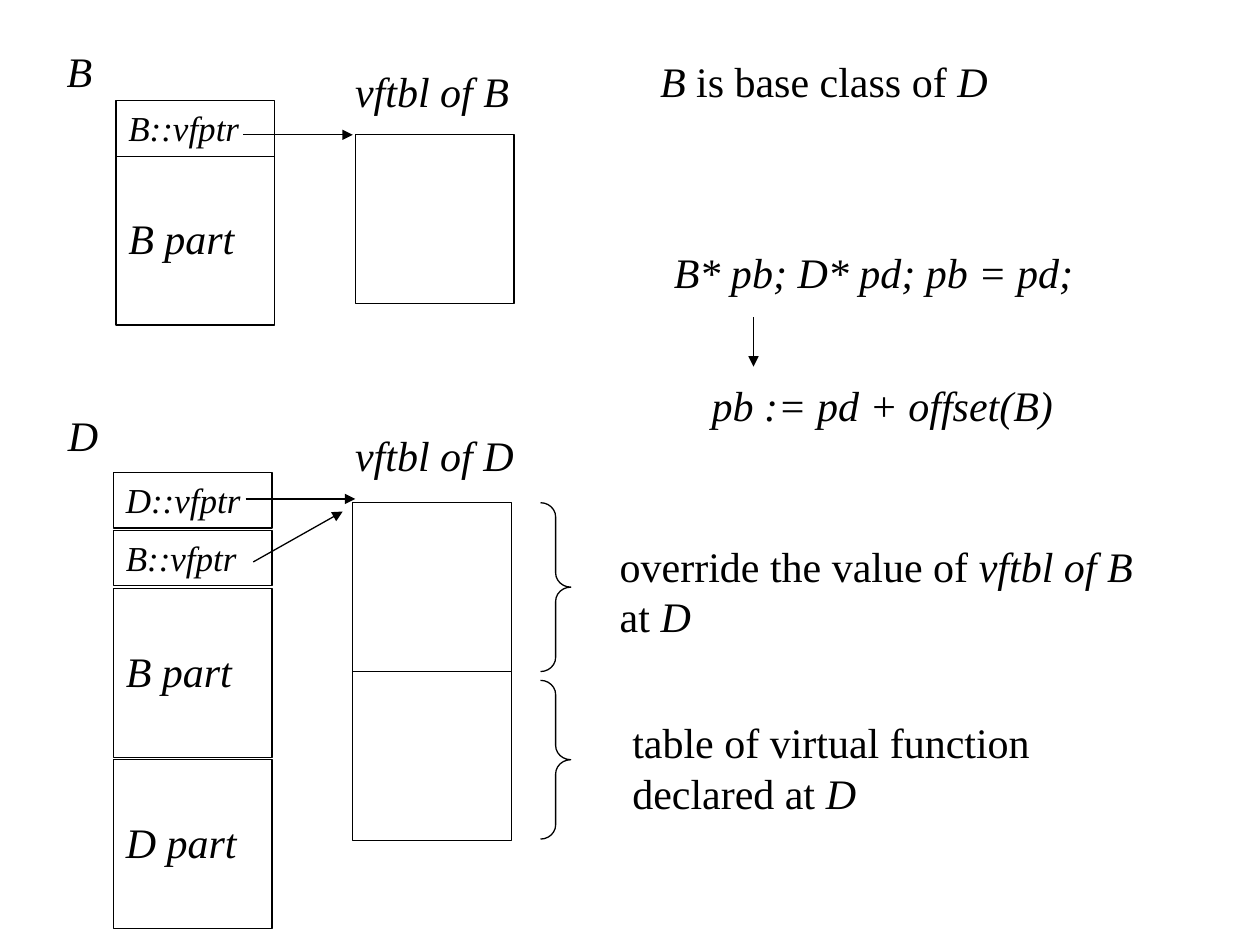
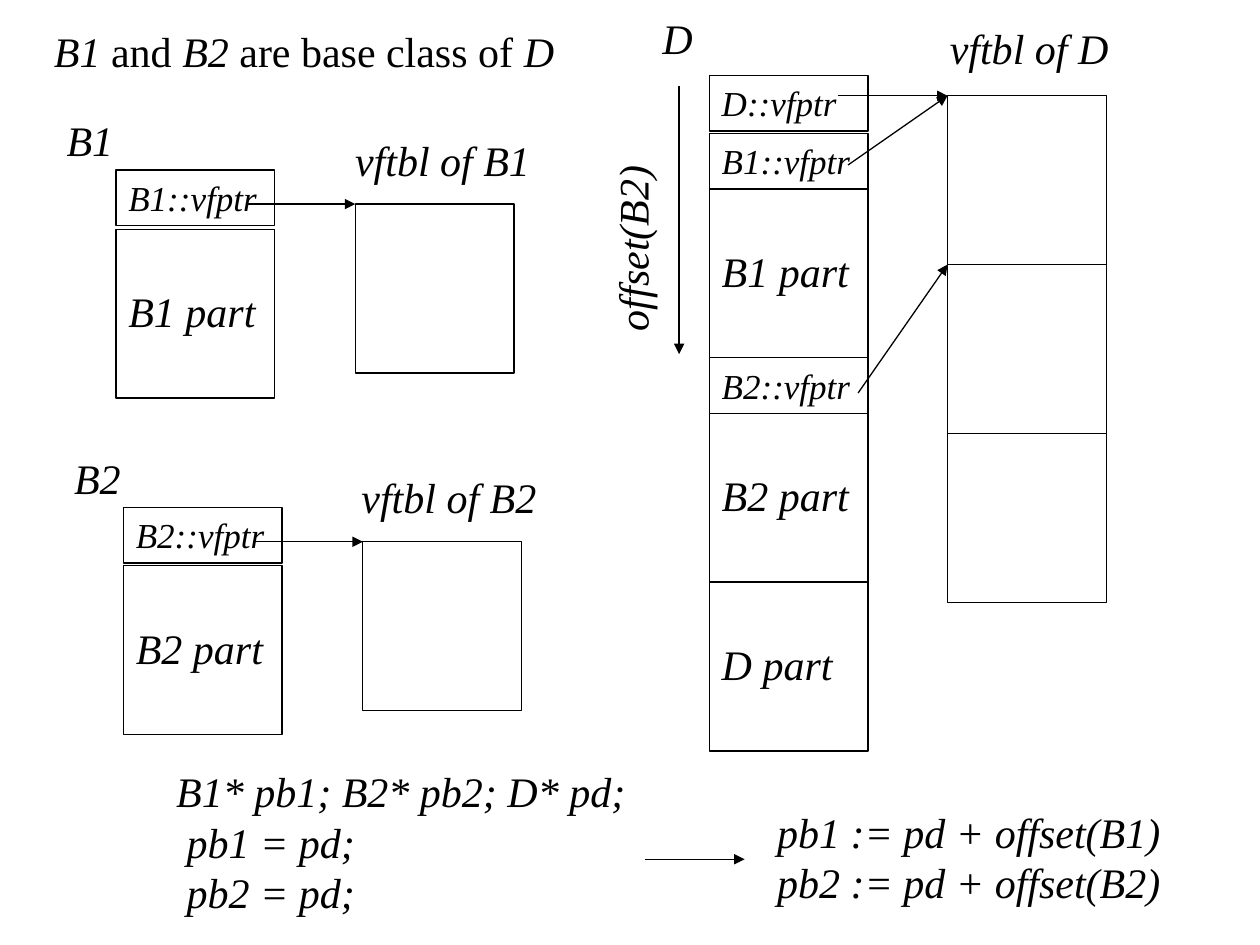
from lxml import etree
from pptx import Presentation
from pptx.dml.color import RGBColor
from pptx.enum.shapes import MSO_CONNECTOR, MSO_SHAPE
from pptx.enum.text import MSO_ANCHOR, MSO_AUTO_SIZE, PP_ALIGN
from pptx.oxml.ns import qn
from pptx.util import Inches, Pt

BLACK = RGBColor(0, 0, 0)
FONT = "Times New Roman"
RECT, BRACE = MSO_SHAPE.RECTANGLE, MSO_SHAPE.RIGHT_BRACE
STRAIGHT = MSO_CONNECTOR.STRAIGHT
TOP, LEFT = MSO_ANCHOR.TOP, PP_ALIGN.LEFT
GROW = MSO_AUTO_SIZE.SHAPE_TO_FIT_TEXT

BOX_W, PTR_H, PART_H = 1.26, 0.44, 1.34
BRACE_W = 0.24

# Text between underscores is italic.
# notes: left, top, width, lines, wraps
# stacks: left, top, gap, labels of the object layout
# tables: left, top, number of blocks
# arrows: start x, start y, end x, end y
# braces: left, top, height
SLIDES = [
    {
        "notes": [
            (0.43, 0.31, 0.4, ["_B_"], False),
            (2.72, 0.47, 1.42, ["_vftbl of B_"], False),
            (0.44, 3.2, 0.44, ["_D_"], False),
            (2.72, 3.36, 1.46, ["_vftbl of D_"], False),
            (5.14, 0.39, 2.8, ["_B_ is base class of _D_"], False),
            (5.25, 1.91, 3.37, ["_B* pb; D* pd; pb = pd;_"], False),
            (5.55, 2.96, 2.91, ["_pb := pd + offset(B)_"], False),
            (4.82, 4.24, 4.27,
             ["override the value of _vftbl of B_", "at _D_"], False),
            (4.92, 5.64, 3.7,
             ["table of virtual function declared at _D_"], True),
        ],
        "stacks": [
            (0.92, 0.8, 0, ["B::vfptr", "B part"]),
            (0.9, 3.75, 0.02, ["D::vfptr", "B::vfptr", "B part", "D part"]),
        ],
        "tables": [(2.82, 1.07, 1), (2.8, 3.99, 2)],
        "arrows": [
            (1.93, 1.07, 2.8, 1.07),
            (1.95, 3.96, 2.82, 3.96),
            (2.01, 4.46, 2.72, 4.06),
            (5.98, 2.52, 5.98, 2.91),
        ],
        "braces": [(4.29, 3.99, 1.34), (4.29, 5.4, 1.26)],
        "turned": [],
    },
    {
        "notes": [
            (0.33, 0.15, 4.17, ["_B1_ and _B2_ are base class of _D_"], False),
            (0.43, 0.86, 0.57, ["_B1_"], False),
            (2.72, 1.02, 1.59, ["_vftbl of B1_"], False),
            (0.49, 3.54, 0.57, ["_B2_"], False),
            (2.77, 3.69, 1.59, ["_vftbl of B2_"], False),
            (5.16, 0.05, 0.44, ["_D_"], False),
            (7.44, 0.13, 1.46, ["_vftbl of D_"], False),
            (1.3, 6.03, 3.8,
             ["_B1* pb1; B2* pb2; D* pd;_", "_ pb1 = pd;_", "_ pb2 = pd;_"],
             False),
            (6.07, 6.35, 3.24,
             ["_pb1 := pd + offset(B1)_", "_pb2 := pd + offset(B2)_"], False),
        ],
        "stacks": [
            (0.92, 1.35, 0.03, ["B1::vfptr", "B1 part"]),
            (0.98, 4.03, 0.02, ["B2::vfptr", "B2 part"]),
            (5.63, 0.6, 0, ["D::vfptr"]),
            (5.63, 1.06, 0,
             ["B1::vfptr", "B1 part", "B2::vfptr", "B2 part", "D part"]),
        ],
        "tables": [(2.82, 1.62, 1), (2.88, 4.3, 1), (7.52, 0.76, 3)],
        "arrows": [
            (1.95, 1.62, 2.82, 1.62),
            (2.01, 4.3, 2.88, 4.3),
            (6.65, 0.76, 7.52, 0.76),
            (6.73, 1.31, 7.52, 0.76),
            (6.81, 3.12, 7.52, 2.1),
            (5.39, 0.68, 5.39, 2.81),
            (5.12, 6.82, 5.91, 6.82),
        ],
        "braces": [],
        "turned": [(4.07, 1.53, 1.89, ["_offset(B2)_"], True)],
    },
]


def style(run, size, italic):
    font = run.font
    font.name, font.size, font.italic = FONT, Pt(size), italic
    font.color.rgb = BLACK


def add_note(slide, left, top, width, lines, wraps):
    rows = 2 if wraps and len(lines[0]) > 20 else len(lines)
    box = slide.shapes.add_textbox(
        Inches(left), Inches(top), Inches(width), Inches(0.1 + 0.4 * rows))
    frame = box.text_frame
    frame.word_wrap, frame.auto_size = wraps, GROW
    for i, line in enumerate(lines):
        para = frame.add_paragraph() if i else frame.paragraphs[0]
        for j, piece in enumerate(line.split("_")):
            if piece:
                run = para.add_run()
                run.text = piece
                style(run, 24, j % 2 == 1)
    return box


def add_outline(slide, kind, left, top, width, height):
    shape = slide.shapes.add_shape(
        kind, Inches(left), Inches(top), Inches(width), Inches(height))
    shape.shadow.inherit = False
    shape.fill.background()
    shape.line.color.rgb = BLACK
    shape.line.width = Pt(0.75)
    return shape


def add_stack(slide, left, top, gap, labels):
    for label in labels:
        is_ptr = label.endswith("vfptr")
        height = PTR_H if is_ptr else PART_H
        box = add_outline(slide, RECT, left, top, BOX_W, height)
        frame = box.text_frame
        frame.word_wrap, frame.vertical_anchor = True, TOP
        frame.margin_top = Inches(0.05 if is_ptr else 0.45)
        frame.text = label
        para = frame.paragraphs[0]
        para.alignment = LEFT
        style(para.runs[0], 20 if is_ptr else 24, True)
        top += height + gap


def add_blocks(slide, left, top, count):
    for i in range(count):
        add_outline(slide, RECT, left, top + i * PART_H, BOX_W, PART_H)


def add_arrow(slide, *ends):
    arrow = slide.shapes.add_connector(STRAIGHT, *map(Inches, ends))
    arrow.line.color.rgb = BLACK
    arrow.line.width = Pt(0.75)
    props = arrow.element.spPr
    etree.SubElement(props.find(qn("a:ln")), qn("a:tailEnd"), type="triangle")
    etree.SubElement(props, qn("a:effectLst"))


def add_brace(slide, left, top, height):
    brace = add_outline(slide, BRACE, left, top, BRACE_W, height)
    brace.adjustments[0] = 0.47


def add_turned(slide, *note):
    add_note(slide, *note).rotation = 270


PARTS = {
    "stacks": add_stack,
    "tables": add_blocks,
    "notes": add_note,
    "turned": add_turned,
    "braces": add_brace,
    "arrows": add_arrow,
}


def main():
    deck = Presentation()
    deck.slide_width, deck.slide_height = Inches(10), Inches(7.5)
    for content in SLIDES:
        slide = deck.slides.add_slide(deck.slide_layouts[6])
        for name, add in PARTS.items():
            for item in content[name]:
                add(slide, *item)
    deck.save("out.pptx")


if __name__ == "__main__":
    main()
